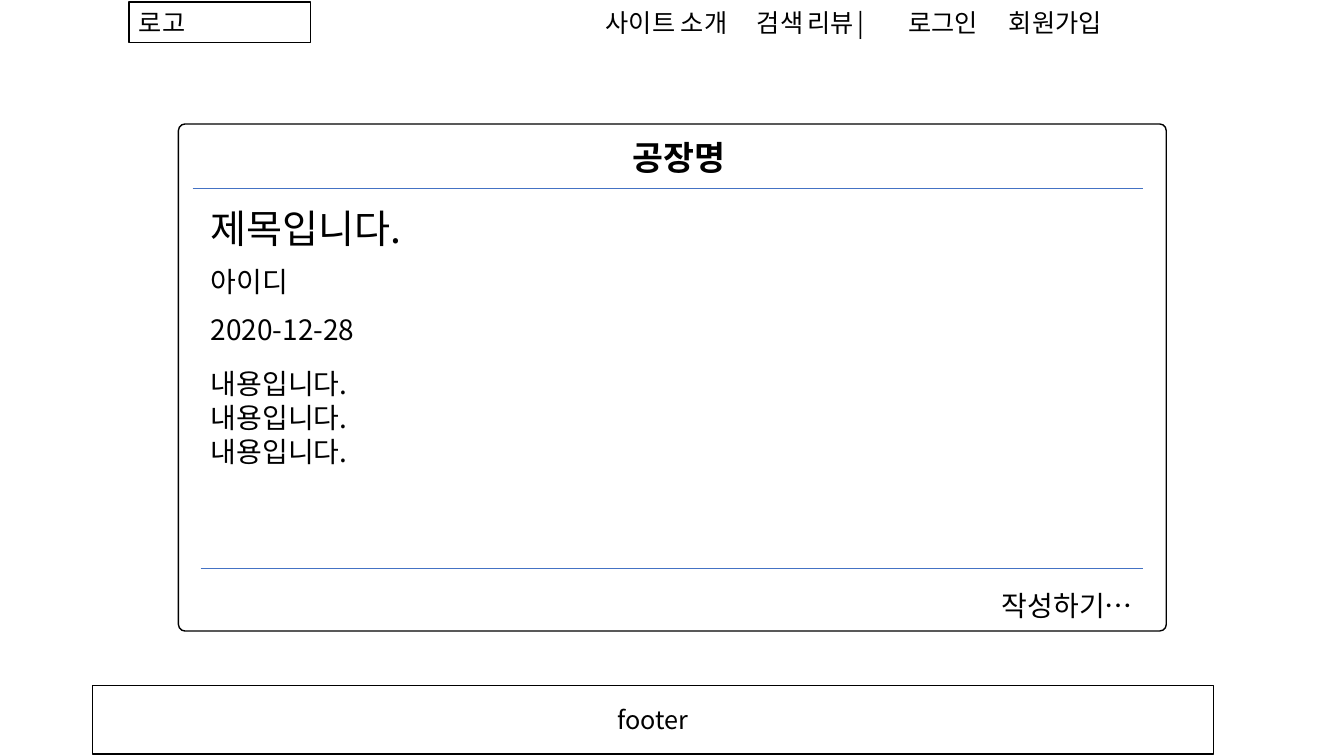
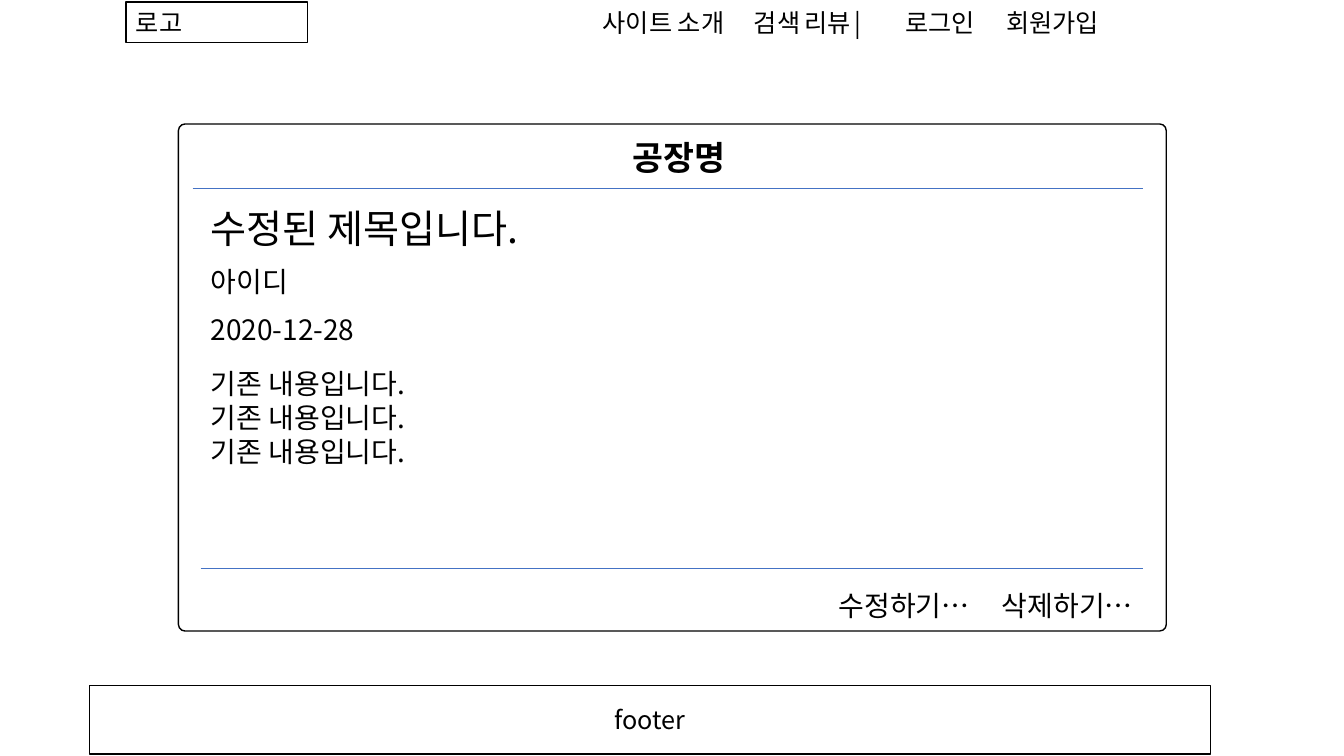
import pptx
import pptx.util
import pptx.dml.color
import pptx.enum.shapes
import pptx.enum.text
import lxml.etree

FONT = "Noto Sans CJK KR"
INK, PAPER, ACCENT = "000000", "FFFFFF", "4472C4"
ALIGN = pptx.enum.text.PP_ALIGN
ANCHOR = pptx.enum.text.MSO_ANCHOR
SHAPE = pptx.enum.shapes.MSO_SHAPE
A = "{http://schemas.openxmlformats.org/drawingml/2006/main}"

deck = pptx.Presentation()
deck.slide_width = pptx.util.Inches(13.33)
deck.slide_height = pptx.util.Inches(7.5)

# Positions are percentages of the slide: left, top, width, height
FIELD_LEFT, FIELD_WIDTH = 14.93, 39.53
CONTENT_RIGHT = 85.05
ACTION_WIDTH = 12.15
NAV = ["사이트 소개", "검색", "리뷰", "|", "로그인", "회원가입"]
NAV_STOPS = [11.1, 16.73, 22.73, 25.32, 32.63]

pages = [
    {"heading": "제목입니다.", "content": "내용입니다.",
     "actions": ["작성하기…"], "shift": 0},
    {"heading": "수정된 제목입니다.", "content": "기존 내용입니다.",
     "actions": ["수정하기…", "삭제하기…"], "shift": -0.22},
]


def color(value):
    """Turn a hex string into a colour."""
    return pptx.dml.color.RGBColor.from_string(value)


def panel(shape, place, lines=(), size=18, align=ALIGN.LEFT, bold=False,
          anchor=ANCHOR.TOP, fill=PAPER, outline=None):
    """Place a shape by slide percentages, then style it and write its lines."""
    left, top, width, height = place
    shape.left = int(deck.slide_width * left / 100)
    shape.top = int(deck.slide_height * top / 100)
    shape.width = int(deck.slide_width * width / 100)
    shape.height = int(deck.slide_height * height / 100)
    if not shape.is_placeholder:
        shape.shadow.inherit = False
    if fill:
        shape.fill.solid()
        shape.fill.fore_color.rgb = color(fill)
    else:
        shape.fill.background()
    if outline:
        shape.line.color.rgb = color(outline)
        shape.line.width = pptx.util.Pt(1)
    else:
        shape.line.fill.background()
    frame = shape.text_frame
    frame.word_wrap = True
    frame.auto_size = pptx.enum.text.MSO_AUTO_SIZE.NONE
    frame.vertical_anchor = anchor
    for number, line in enumerate(lines):
        paragraph = frame.add_paragraph() if number else frame.paragraphs[0]
        paragraph.alignment = align
        paragraph.space_before = pptx.util.Pt(0)
        properties = paragraph._p.get_or_add_pPr()
        properties.set("marL", "0")
        properties.set("indent", "0")
        lxml.etree.SubElement(properties, A + "buNone")
        run = paragraph.add_run()
        run.text = line
        run.font.name = FONT
        run.font.size = pptx.util.Pt(size)
        run.font.bold = bold
        run.font.color.rgb = color(INK)
        lxml.etree.SubElement(run.font._element, A + "ea", typeface=FONT)
    return shape


for page in pages:
    slide = deck.slides.add_slide(deck.slide_layouts[1])
    shapes = slide.shapes
    shift = page["shift"]

    # Review card
    panel(shapes.title, (30.75, 17.47, FIELD_WIDTH, 5.87), ["공장명"],
          24, ALIGN.CENTER, bold=True)
    panel(slide.placeholders[1], (FIELD_LEFT, 47.87, FIELD_WIDTH, 12.8),
          [page["content"]] * 3, 20)
    for text, top, height, size in [(page["heading"], 26.4, 6.53, 28),
                                    ("아이디", 34.4, 5.07, 20),
                                    ("2020-12-28", 40.67, 5.07, 20)]:
        panel(shapes.add_shape(SHAPE.RECTANGLE, 0, 0, 0, 0),
              (FIELD_LEFT, top, FIELD_WIDTH, height), [text], size)

    for place, action in enumerate(reversed(page["actions"]), 1):
        panel(shapes.add_shape(SHAPE.RECTANGLE, 0, 0, 0, 0),
              (CONTENT_RIGHT - place * ACTION_WIDTH, 77.2, ACTION_WIDTH, 5.87),
              [action], 20, ALIGN.RIGHT)

    for left, top in [(FIELD_LEFT, 75.2), (14.33, 24.93)]:
        height = int(deck.slide_height * top / 100)
        divider = shapes.add_connector(
            pptx.enum.shapes.MSO_CONNECTOR.STRAIGHT,
            int(deck.slide_width * left / 100), height,
            int(deck.slide_width * CONTENT_RIGHT / 100), height)
        divider.line.color.rgb = color(ACCENT)
        divider.line.width = pptx.util.Pt(0.5)
        lxml.etree.SubElement(divider._element.spPr, A + "effectLst")

    card = panel(shapes.add_shape(SHAPE.ROUNDED_RECTANGLE, 0, 0, 0, 0),
                 (13.28, 16.4, 73.5, 67.07), fill=None, outline=INK)
    card.adjustments[0] = 0.013

    # Footer and header
    panel(shapes.add_shape(SHAPE.RECTANGLE, 0, 0, 0, 0),
          (6.9 + shift, 90.67, 83.4, 9.07), ["footer"], 18, ALIGN.CENTER,
          anchor=ANCHOR.MIDDLE, outline=INK)
    panel(shapes.add_shape(SHAPE.RECTANGLE, 0, 0, 0, 0),
          (9.6 + shift, 0.27, 13.5, 5.33), ["로고"], outline=INK)
    menu = panel(shapes.add_shape(SHAPE.RECTANGLE, 0, 0, 0, 0),
                 (44.33 + shift, 0.27, 45.98, 5.33), ["\t".join(NAV)])
    stops = lxml.etree.SubElement(
        menu.text_frame.paragraphs[0]._p.get_or_add_pPr(), A + "tabLst")
    for stop in NAV_STOPS:
        lxml.etree.SubElement(stops, A + "tab", algn="l",
                              pos=str(int(deck.slide_width * stop / 100)))

deck.save("out.pptx")
